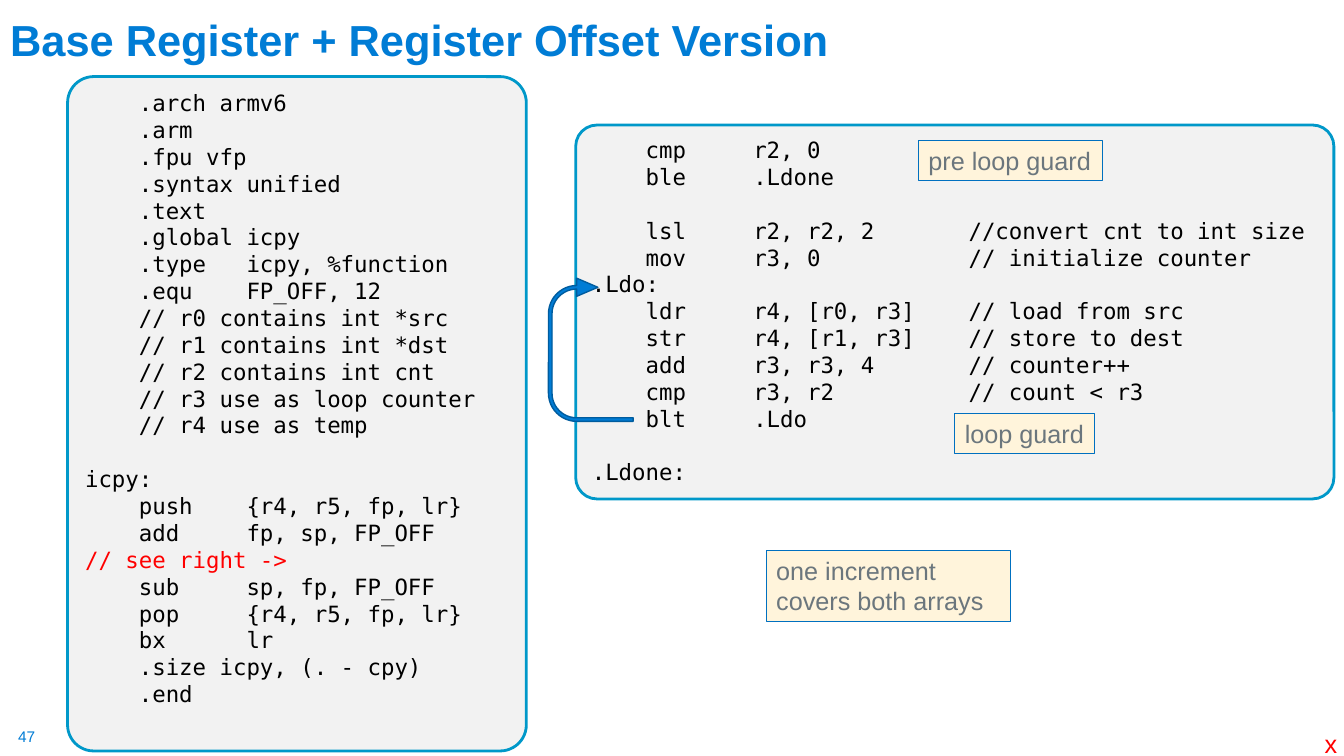
from lxml import etree
from pptx import Presentation
from pptx import util as u
from pptx.dml.color import RGBColor
from pptx.enum import shapes, text
from pptx.oxml import ns

PX = 9144
BLUE = RGBColor(0x00, 0x7C, 0xD5)
DARK_BLUE = RGBColor(0x00, 0x5C, 0x9E)
NOTE_BLUE = RGBColor(0x00, 0x70, 0xC0)
TEAL = RGBColor(0x00, 0x98, 0xC9)
PALE_GRAY = RGBColor(0xF2, 0xF2, 0xF2)
CREAM = RGBColor(0xFF, 0xF4, 0xDB)
SLATE = RGBColor(0x6B, 0x76, 0x7D)
BLACK = RGBColor(0x00, 0x00, 0x00)
RED = RGBColor(0xFF, 0x00, 0x00)
SANS = "Arial"
MONO = "DejaVu Sans Mono"

SETUP_CODE = """\
    .arch armv6
    .arm
    .fpu vfp
    .syntax unified
    .text
    .global icpy
    .type   icpy, %function
    .equ    FP_OFF, 12
    // r0 contains int *src
    // r1 contains int *dst
    // r2 contains int cnt
    // r3 use as loop counter
    // r4 use as temp

icpy:
    push    {r4, r5, fp, lr}
    add     fp, sp, FP_OFF
// see right ->
    sub     sp, fp, FP_OFF
    pop     {r4, r5, fp, lr}
    bx      lr
    .size icpy, (. - cpy)
    .end"""

LOOP_CODE = """\
    cmp     r2, 0
    ble     .Ldone

    lsl     r2, r2, 2       //convert cnt to int size
    mov     r3, 0           // initialize counter
.Ldo:
    ldr     r4, [r0, r3]    // load from src
    str     r4, [r1, r3]    // store to dest
    add     r3, r3, 4       // counter++
    cmp     r3, r2          // count < r3
    blt     .Ldo

.Ldone:"""


def lengths(*pixels):
    return [u.Emu(value * PX) for value in pixels]


def style_span(span, size, color, face=SANS, bold=False):
    span.font.size = u.Pt(size)
    span.font.name = face
    span.font.bold = bold
    span.font.color.rgb = color


def write(frame, words, size, color, face=SANS, wrap=True):
    frame.text = words
    frame.word_wrap = wrap
    frame.vertical_anchor = text.MSO_ANCHOR.TOP
    for para in frame.paragraphs:
        para.alignment = text.PP_ALIGN.LEFT
        for span in para.runs:
            style_span(span, size, color, face)
        if not para.runs:
            end = etree.SubElement(para._p, ns.qn("a:endParaRPr"), sz=str(size * 100))
            etree.SubElement(end, ns.qn("a:latin"), typeface=face)


def add_panel(page, kind, place, fill, line, width):
    panel = page.shapes.add_shape(kind, *lengths(*place))
    panel.shadow.inherit = False
    panel.fill.solid()
    panel.fill.fore_color.rgb = fill
    panel.line.color.rgb = line
    panel.line.width = u.Pt(width)
    return panel


def add_code(page, place, code):
    panel = add_panel(page, shapes.MSO_SHAPE.ROUNDED_RECTANGLE, place, PALE_GRAY, TEAL, 2)
    panel.adjustments[0] = 0.057
    write(panel.text_frame, code, 16, BLACK, MONO)
    return panel


def add_note(page, place, words, wrap=False):
    note = add_panel(page, shapes.MSO_SHAPE.RECTANGLE, place, CREAM, NOTE_BLUE, 0.75)
    write(note.text_frame, words, 18, SLATE, wrap=wrap)


def add_label(page, place, words, size, color):
    box = page.shapes.add_textbox(*lengths(*place))
    write(box.text_frame, words, size, color, wrap=False)
    return box


def add_title(page, place, words):
    title = page.shapes.title
    title.left, title.top, title.width, title.height = lengths(*place)
    frame = title.text_frame
    write(frame, words, 31, BLUE)
    frame.auto_size = text.MSO_AUTO_SIZE.NONE
    frame.vertical_anchor = text.MSO_ANCHOR.BOTTOM
    para = frame.paragraphs[0]
    para.line_spacing = 0.9
    para.runs[0].font.bold = True


def add_loop_arrow(page, place):
    arrow = add_panel(page, shapes.MSO_SHAPE.U_TURN_ARROW, place, BLUE, DARK_BLUE, 1)
    arrow.rotation = 270
    for index, value in enumerate((0.042, 0.107, 0.25, 0.438, 0.583)):
        arrow.adjustments[index] = value


def main():
    deck = Presentation()
    deck.slide_width, deck.slide_height = lengths(1333, 750)
    page = deck.slides.add_slide(deck.slide_layouts[5])

    number = add_label(page, (18, 721, 19, 19), "47", 11, BLUE)
    frame = number.text_frame
    frame.margin_left = frame.margin_right = frame.margin_top = frame.margin_bottom = 0

    add_code(page, (571, 124, 752, 371), LOOP_CODE)
    add_title(page, (0, -8, 911, 78), "Base Register + Register Offset Version")
    setup = add_code(page, (67, 76, 455, 669), SETUP_CODE)
    for para in setup.text_frame.paragraphs:
        if para.text.startswith("// see"):
            para.runs[0].font.color.rgb = RED

    add_label(page, (1304, 718, 33, 40), "x", 18, RED)
    add_loop_arrow(page, (515, 305, 142, 84))
    add_note(page, (947, 410, 139, 40), "loop guard")
    add_note(page, (911, 139, 183, 40), "pre loop guard")
    add_note(page, (760, 546, 242, 71), "one increment covers both arrays", wrap=True)

    deck.save("out.pptx")


if __name__ == "__main__":
    main()
